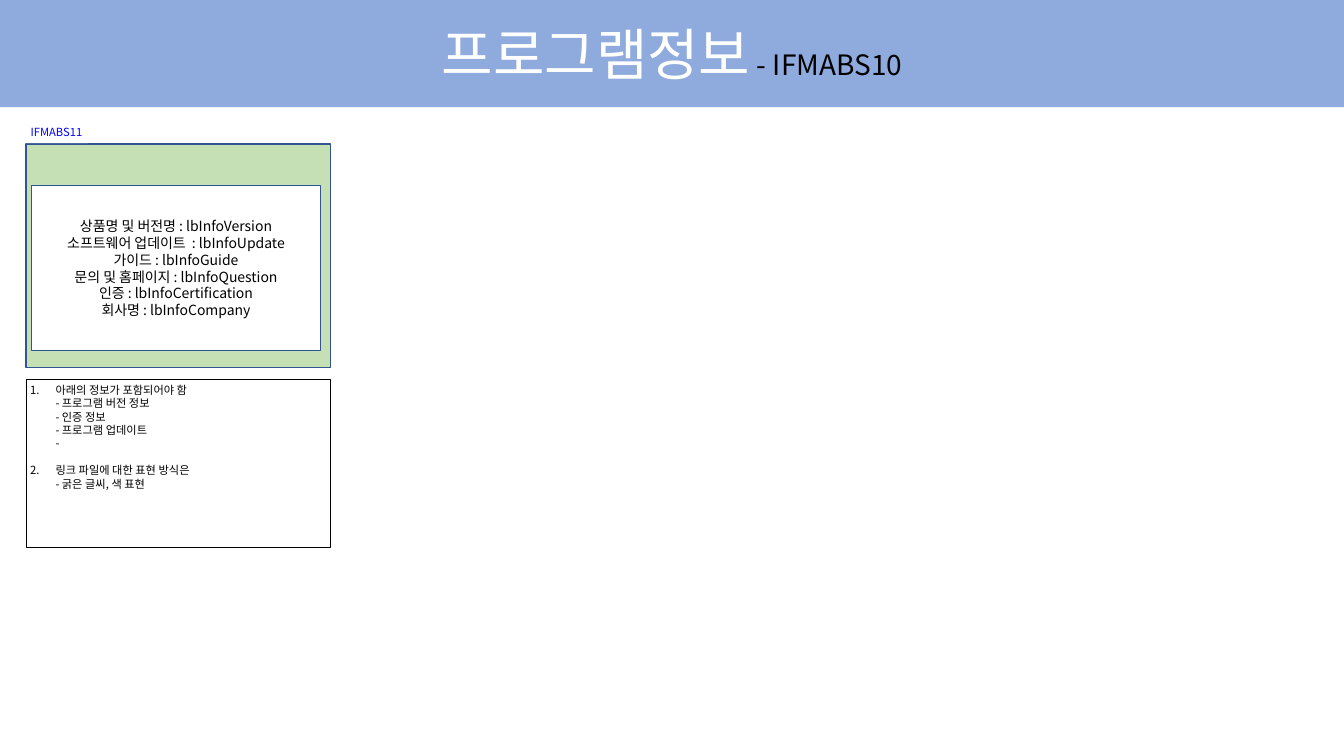
from lxml import etree
from pptx import Presentation
from pptx import util as u
from pptx.dml.color import RGBColor
from pptx.enum import shapes, text
from pptx.oxml.ns import qn

FONT = "Noto Sans CJK KR"
COLORS = {
    "header": "8FAADC", "panel": "C5E0B4", "border": "325491",
    "white": "FFFFFF", "black": "000000", "label": "0000FF",
}


def add_box(left, top, width, height, fill=None, line=None, weight=1, inset=None):
    """Add a rectangle with the given fill, outline and text inset."""
    box = page.shapes.add_shape(shapes.MSO_SHAPE.RECTANGLE, *map(u.Cm, (left, top, width, height)))
    box.shadow.inherit = False
    if fill:
        box.fill.solid()
        box.fill.fore_color.rgb = RGBColor.from_string(COLORS[fill])
    else:
        box.fill.background()
    if line:
        box.line.color.rgb = RGBColor.from_string(COLORS[line])
        box.line.width = u.Pt(weight)
    else:
        box.line.fill.background()
    frame = box.text_frame
    settings = {"word_wrap": True, "vertical_anchor": text.MSO_ANCHOR.MIDDLE}
    if inset is not None:
        for side in ("left", "top", "right", "bottom"):
            settings["margin_" + side] = u.Cm(inset)
    for name, value in settings.items():
        setattr(frame, name, value)
    return frame


def add_span(para, words, size, color):
    """Add a run in the slide font, for Latin and Korean alike."""
    span = para.add_run()
    span.text = words
    for name, value in {"name": FONT, "size": u.Pt(size)}.items():
        setattr(span.font, name, value)
    span.font.color.rgb = RGBColor.from_string(COLORS[color])
    etree.SubElement(span.font._element, qn("a:ea"), typeface=FONT)


deck = Presentation()
deck.slide_width, deck.slide_height = u.Cm(33.87), u.Cm(19.05)
page = deck.slides.add_slide(deck.slide_layouts[6])

# Header band
para = add_box(0, 0, 33.87, 2.7, "header").paragraphs[0]
para.alignment = text.PP_ALIGN.CENTER
add_span(para, "프로그램정보", 40, "white")
add_span(para, " - IFMABS10", 20, "black")

# Screen mock-up with its information fields
add_box(0.66, 3.63, 7.67, 5.64, "panel", "border")
info = add_box(0.79, 4.67, 7.29, 4.17, "white", "border")
fields = [
    "상품명 및 버전명 : lbInfoVersion",
    "소프트웨어 업데이트  : lbInfoUpdate",
    "가이드 : lbInfoGuide",
    "문의 및 홈페이지 : lbInfoQuestion",
    "인증 : lbInfoCertification",
    "회사명 : lbInfoCompany",
]
for index, field in enumerate(fields):
    para = info.add_paragraph() if index else info.paragraphs[0]
    para.alignment = text.PP_ALIGN.CENTER
    para.line_spacing = u.Pt(12)
    add_span(para, field, 10, "black")

# Screen label
para = add_box(0.64, 3.05, 1.57, 0.56, "white", inset=0).paragraphs[0]
para.alignment = text.PP_ALIGN.CENTER
add_span(para, "IFMABS11", 8, "label")

# Numbered notes
notes = add_box(0.66, 9.55, 7.67, 4.24, line="black", weight=0.25, inset=0.1)
notes.vertical_anchor = text.MSO_ANCHOR.TOP
items = [
    ["아래의 정보가 포함되어야 함", "- 프로그램 버전 정보", "- 인증 정보", "- 프로그램 업데이트", "- "],
    ["링크 파일에 대한 표현 방식은 ", "- 굵은 글씨, 색 표현"],
]
for index, lines in enumerate(items):
    para = notes.add_paragraph() if index else notes.paragraphs[0]
    para.alignment = text.PP_ALIGN.LEFT
    para.line_spacing = u.Pt(9.6)
    para.space_before = u.Pt(9.6 * index)
    props = para._p.get_or_add_pPr()
    props.set("marL", str(u.Cm(0.64)))
    props.set("indent", str(-u.Cm(0.64)))
    etree.SubElement(props, qn("a:buFont"), typeface=FONT)
    etree.SubElement(props, qn("a:buAutoNum"), type="arabicPeriod")
    for number, line in enumerate(lines):
        if number:
            para.add_line_break()
        add_span(para, line, 8, "black")

deck.save("out.pptx")
